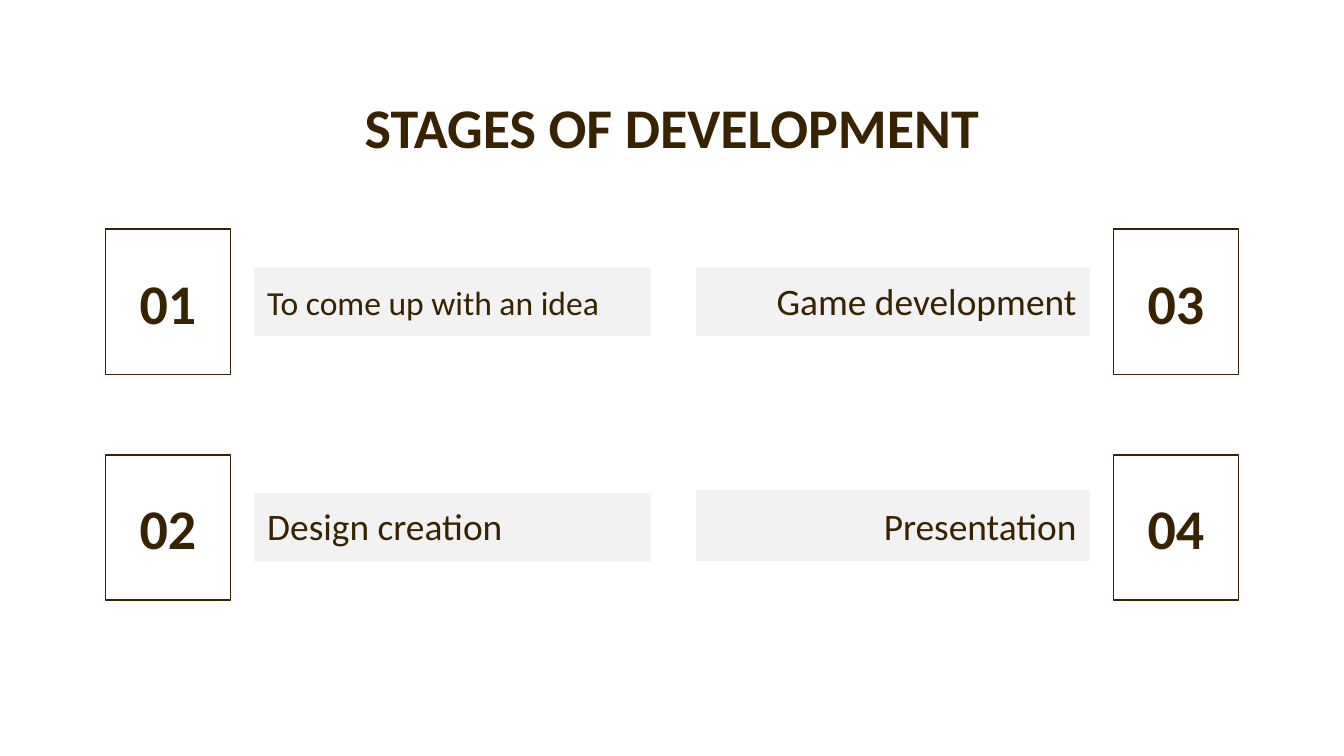
"""Build the "Stages of development" slide: four numbered stages in two columns."""
from lxml.etree import SubElement
from pptx import Presentation
from pptx.dml.color import RGBColor as RGB
from pptx.enum.shapes import MSO_SHAPE as SHAPE
from pptx.enum.text import MSO_ANCHOR as ANCHOR, MSO_AUTO_SIZE as FIT, PP_ALIGN as ALIGN
from pptx.oxml.ns import qn
from pptx.util import Pt

PX = 4572
COLORS = {"ink": "392200", "bar": "000000", "bg": "FFFFFF"}
HEADING = {"name": "Calibri", "size": Pt(30), "bold": True}
LABEL = {"name": "Calibri", "bold": False}
MARGIN = 20 * PX


def color(name):
    return RGB.from_string(COLORS[name])


def write(sp, text, anchor, align, font):
    tf = sp.text_frame
    frame = {"word_wrap": True, "auto_size": FIT.NONE, "vertical_anchor": anchor}
    frame |= {f"margin_{side}": MARGIN for side in ("left", "top", "right", "bottom")}
    for key, value in frame.items():
        setattr(tf, key, value)
    p = tf.paragraphs[0]
    p.alignment = align
    r = p.add_run()
    r.text = text
    for key, value in font.items():
        setattr(r.font, key, value)
    r.font.color.rgb = color("ink")


prs = Presentation()
prs.slide_width, prs.slide_height = 2000 * PX, 1125 * PX
s = prs.slides.add_slide(prs.slide_layouts[5])
s.background.fill.solid()
s.background.fill.fore_color.rgb = color("bg")

title = s.shapes.title
title.left, title.top, title.width, title.height = (v * PX for v in (157, 118, 1686, 126))
write(title, "STAGES OF DEVELOPMENT", ANCHOR.TOP, ALIGN.CENTER, HEADING)

columns = [(157, 378, 591, ALIGN.LEFT), (1657, 1036, 586, ALIGN.RIGHT)]
rows = [341, 677]
stages = [
    ("To come up with an idea", 18, 57, 102),
    ("Design creation", 20, 57, 102),
    ("Game development", 20, 57, 102),
    ("Presentation", 20, 52, 106),
]

for i, (text, size, drop, height) in enumerate(stages):
    box_x, bar_x, bar_w, align = columns[i // 2]
    y = rows[i % 2]

    bar = s.shapes.add_shape(
        SHAPE.RECTANGLE, bar_x * PX, (y + drop) * PX, bar_w * PX, height * PX)
    bar.shadow.inherit = False
    bar.fill.solid()
    bar.fill.fore_color.rgb = color("bar")
    rgb = bar.fill._xPr.find(qn("a:solidFill")).find(qn("a:srgbClr"))
    SubElement(rgb, qn("a:alpha"), val="5000")
    bar.line.fill.background()
    write(bar, text, ANCHOR.BOTTOM, align, LABEL | {"size": Pt(size)})

    box = s.shapes.add_shape(SHAPE.RECTANGLE, box_x * PX, y * PX, 186 * PX, 216 * PX)
    box.shadow.inherit = False
    box.fill.background()
    box.line.color.rgb = color("ink")
    box.line.width = Pt(0.75)
    write(box, f"{i + 1:02d}", ANCHOR.MIDDLE, ALIGN.CENTER, HEADING)

prs.save("out.pptx")
